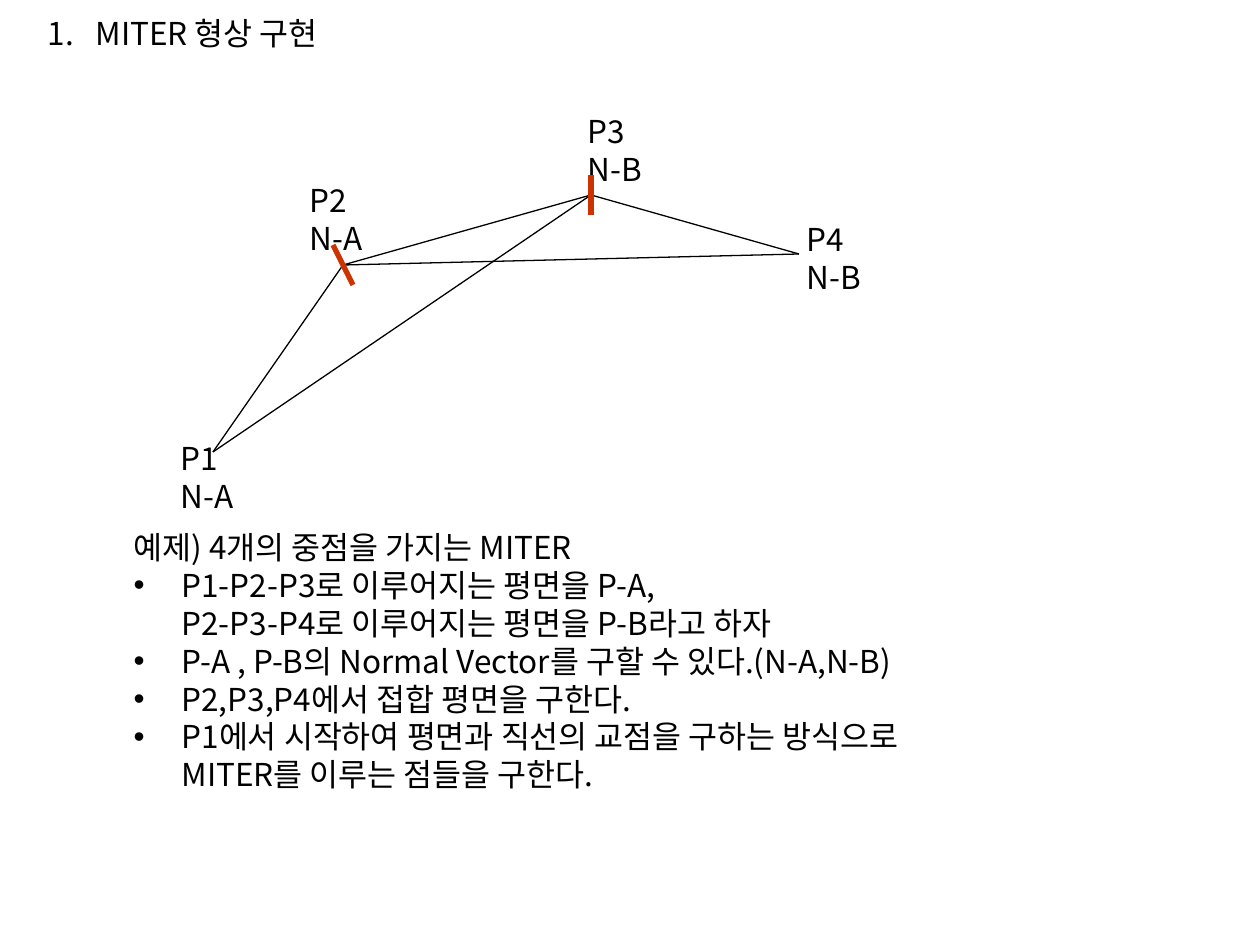
from lxml.etree import SubElement
from pptx import Presentation
from pptx.dml.color import RGBColor
from pptx.enum.shapes import MSO_CONNECTOR
from pptx.enum.text import MSO_ANCHOR, MSO_AUTO_SIZE, PP_ALIGN
from pptx.oxml.ns import qn
from pptx.util import Emu, Inches, Pt

FONT = "Noto Sans CJK KR"
BLACK = "000000"
RED = "CC3300"
INDENT = 48

POINTS = {"P1": (45, 346), "P2": (175, 159), "P3": (423, 89), "P4": (631, 148)}
LABELS = [
    ("P1", "N-A", 0, 327),
    ("P2", "N-A", 129, 69),
    ("P3", "N-B", 407, 0),
    ("P4", "N-B", 626, 108),
]
EDGES = [("P1", "P2"), ("P2", "P3"), ("P3", "P4"), ("P1", "P3"), ("P2", "P4")]
MITERS = [("P2", 10, 20), ("P3", 0, 20)]

EXAMPLE = "예제) 4개의 중점을 가지는 MITER"
STEPS = [
    "P1-P2-P3로 이루어지는 평면을 P-A,\vP2-P3-P4로 이루어지는 평면을 P-B라고 하자",
    "P-A , P-B의 Normal Vector를 구할 수 있다.(N-A,N-B)",
    "P2,P3,P4에서 접합 평면을 구한다.",
    "P1에서 시작하여 평면과 직선의 교점을 구하는 방식으로\vMITER를 이루는 점들을 구한다.",
]


def px(length):
    """Turn px into EMU."""
    return Emu(round(length * 914400 / 126))


def color(hex_string):
    """Turn a hex string into a colour."""
    return RGBColor.from_string(hex_string)


def place(shape, left, top, width, height):
    """Move and size a shape in px."""
    shape.left, shape.top = px(left), px(top)
    shape.width, shape.height = px(width), px(height)


def format_frame(frame):
    """Give a text frame unwrapped text from its top."""
    frame.word_wrap = False
    frame.auto_size = MSO_AUTO_SIZE.NONE
    frame.vertical_anchor = MSO_ANCHOR.TOP


def format_paragraph(paragraph, bullet=None, **bullet_values):
    """Set the text style, and a hanging bullet when one is named."""
    paragraph.alignment = PP_ALIGN.LEFT
    paragraph.line_spacing = Pt(21.6)
    paragraph.space_before = Pt(0)
    if bullet:
        properties = paragraph._p.get_or_add_pPr()
        properties.set("marL", str(px(INDENT)))
        properties.set("indent", str(-px(INDENT)))
        SubElement(properties, qn(bullet), **bullet_values)
    font = paragraph.font
    font.size = Pt(18)
    font.name = FONT
    font.color.rgb = color(BLACK)
    SubElement(font._element, qn("a:ea"), typeface=FONT)


def add_line(slide, start, end, hex_string, weight):
    """Draw a straight line between two px points."""
    line = slide.shapes.add_connector(
        MSO_CONNECTOR.STRAIGHT, *map(px, start), *map(px, end))
    line.line.color.rgb = color(hex_string)
    line.line.width = Pt(weight)
    SubElement(line._element.spPr, qn("a:effectLst"))


def add_heading(slide, left, top, width, height):
    """Fill the title with the numbered heading."""
    title = slide.shapes.title
    place(title, left, top, width, height)
    format_frame(title.text_frame)
    title.text_frame.text = "MITER 형상 구현"
    format_paragraph(title.text_frame.paragraphs[0],
                     "a:buAutoNum", type="arabicPeriod")


def add_diagram(slide, left, top):
    """Draw the four points, their planes and the miter cuts."""
    corners = {name: (left + x, top + y) for name, (x, y) in POINTS.items()}
    for start, end in EDGES:
        add_line(slide, corners[start], corners[end], BLACK, 0.75)
    for name, normal, x, y in LABELS:
        label = slide.shapes.add_textbox(
            px(left + x), px(top + y), px(79), px(88))
        format_frame(label.text_frame)
        label.text_frame.text = f"{name}\v{normal}"
        format_paragraph(label.text_frame.paragraphs[0])
    for name, dx, dy in MITERS:
        x, y = corners[name]
        add_line(slide, (x - dx, y - dy), (x + dx, y + dy), RED, 3)


def add_explanation(slide, left, top, width, height):
    """Fill the body with the example and its steps."""
    body = slide.placeholders[1]
    place(body, left, top, width, height)
    frame = body.text_frame
    format_frame(frame)
    frame.text = "\n".join([EXAMPLE, *STEPS])
    example, *steps = frame.paragraphs
    format_paragraph(example, "a:buNone")
    for step in steps:
        format_paragraph(step, "a:buChar", char="•")


def main():
    """Build and save the slide."""
    deck = Presentation()
    deck.slide_width, deck.slide_height = Inches(10), Inches(7.5)
    slide = deck.slides.add_slide(deck.slide_layouts[1])
    add_heading(slide, 35, 8, 306, 50)
    add_diagram(slide, 168, 106)
    add_explanation(slide, 121, 522, 824, 320)
    deck.save("out.pptx")


if __name__ == "__main__":
    main()
